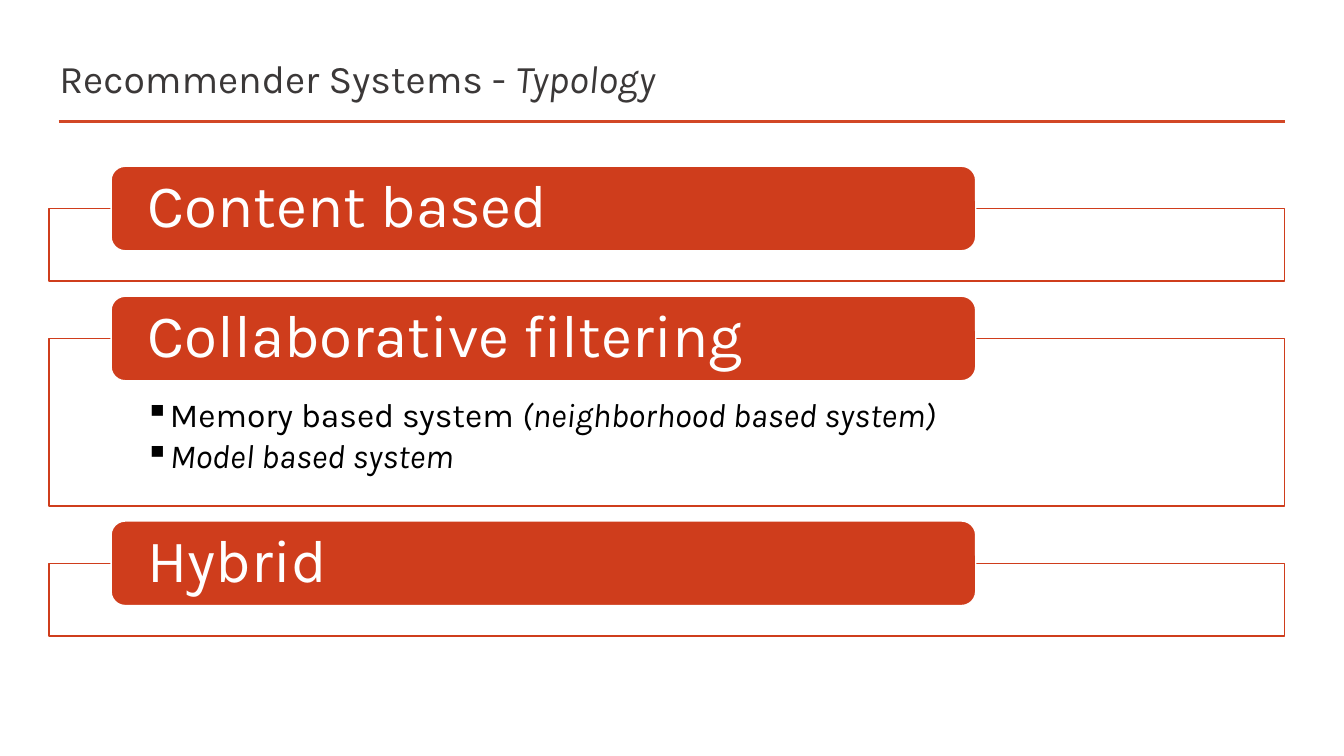
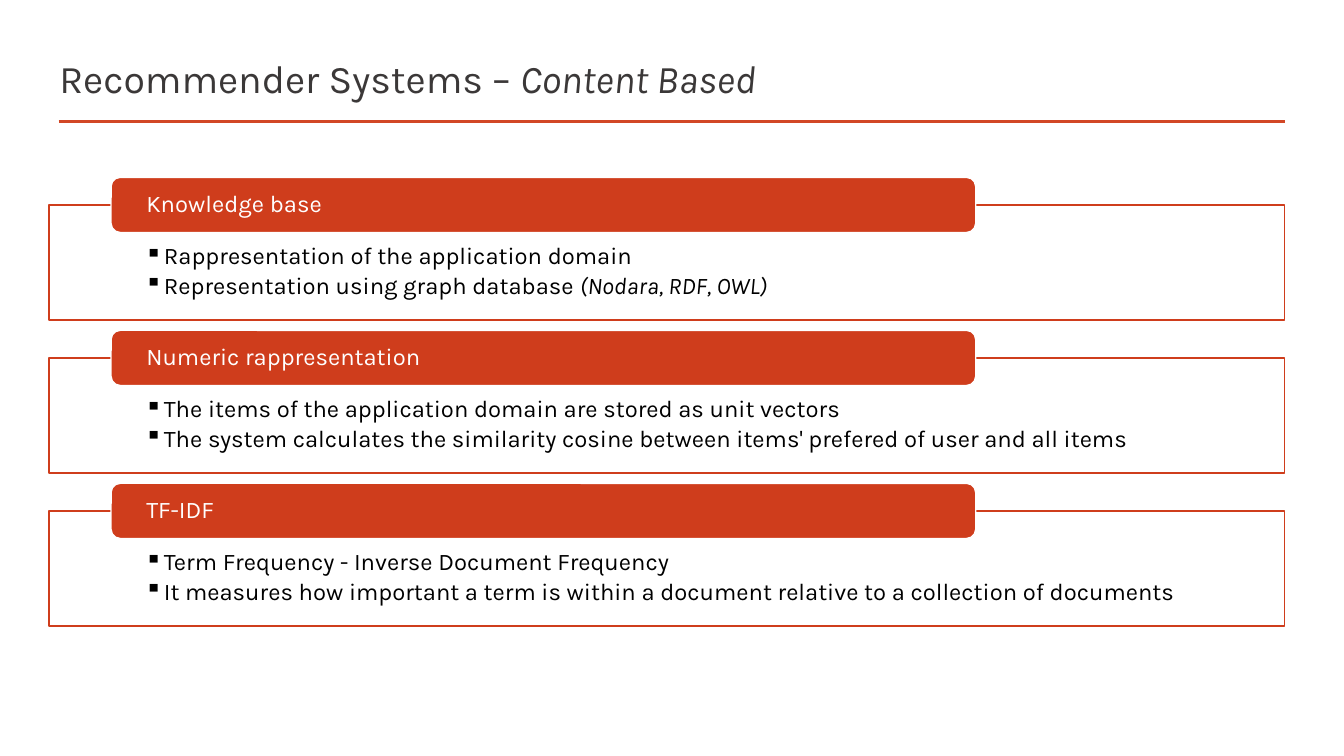
from dataclasses import dataclass

from lxml.etree import SubElement
from pptx import Presentation
from pptx.dml.color import RGBColor
from pptx.enum.shapes import MSO_CONNECTOR, MSO_SHAPE
from pptx.enum.text import MSO_ANCHOR, PP_ALIGN
from pptx.oxml.ns import qn
from pptx.shapes.autoshape import Shape
from pptx.slide import Slide
from pptx.text.text import _Paragraph
from pptx.util import Cm, Pt


@dataclass(frozen=True)
class Theme:
    font: str = "Karla"
    title_color: RGBColor = RGBColor(0x3B, 0x38, 0x38)
    rule_color: RGBColor = RGBColor(0xD2, 0x47, 0x26)
    accent: RGBColor = RGBColor(0xCF, 0x3D, 0x1C)
    paper: RGBColor = RGBColor(0xFF, 0xFF, 0xFF)
    ink: RGBColor = RGBColor(0x00, 0x00, 0x00)
    title_size: float = 28
    line_spacing: float = 0.9
    bullet_gap: float = 0.165


@dataclass(frozen=True)
class Phrase:
    plain: str = ""
    italic: str = ""


@dataclass(frozen=True)
class Section:
    heading: str
    points: tuple[Phrase, ...] = ()


@dataclass(frozen=True)
class ListStyle:
    top: float
    tab_height: float
    frame_height: float
    gap: float
    heading_size: float
    point_size: float
    point_inset: float
    point_indent: float


@dataclass(frozen=True)
class Topic:
    title: Phrase
    style: ListStyle
    sections: tuple[Section, ...]


THEME = Theme()
LEFT, WIDTH = 1.24, 31.14
TAB_LEFT, TAB_WIDTH = 2.8, 21.79
EMPTY_FRAME_HEIGHT = 1.83

LARGE = ListStyle(4.19, 2.13, 4.22, 0.38, 43, 24, 1.5, 0.63)
COMPACT = ListStyle(4.47, 1.39, 2.9, 0.26, 17, 17, 0.99, 0.48)

TOPICS = (
    Topic(
        Phrase("Recommender Systems - ", "Typology"),
        LARGE,
        (
            Section("Content based"),
            Section(
                "Collaborative filtering",
                (
                    Phrase("Memory based system ", "(neighborhood based system)"),
                    Phrase(italic="Model based system"),
                ),
            ),
            Section("Hybrid"),
        ),
    ),
    Topic(
        Phrase("Recommender Systems – ", "Content Based"),
        COMPACT,
        (
            Section(
                "Knowledge base",
                (
                    Phrase("Rappresentation of the application domain"),
                    Phrase("Representation using graph database ", "(Nodara, RDF, OWL)"),
                ),
            ),
            Section(
                "Numeric rappresentation",
                (
                    Phrase("The items of the application domain are stored as unit vectors"),
                    Phrase(
                        "The system calculates the similarity cosine between "
                        "items' prefered of user and all items"
                    ),
                ),
            ),
            Section(
                "TF-IDF",
                (
                    Phrase("Term Frequency - Inverse Document Frequency"),
                    Phrase(
                        "It measures how important a term is within a document "
                        "relative to a collection of documents"
                    ),
                ),
            ),
        ),
    ),
)


def write(paragraph: _Paragraph, phrase: Phrase, size: float, color: RGBColor) -> None:
    paragraph.alignment = PP_ALIGN.LEFT
    paragraph.font.name = THEME.font
    paragraph.font.size = Pt(size)
    paragraph.font.color.rgb = color
    if phrase.plain:
        paragraph.add_run().text = phrase.plain
    if phrase.italic:
        emphasis = paragraph.add_run()
        emphasis.text = phrase.italic
        emphasis.font.italic = True


def add_bullet(paragraph: _Paragraph, indent: float) -> None:
    properties = paragraph._p.get_or_add_pPr()
    properties.set("marL", str(Cm(indent)))
    properties.set("indent", str(-Cm(indent)))
    SubElement(properties, qn("a:buChar")).set("char", "▪")


def add_title(slide: Slide, phrase: Phrase) -> None:
    title = slide.shapes.title
    title.left, title.top = Cm(LEFT), Cm(1.19)
    title.width, title.height = Cm(WIDTH), Cm(1.55)
    title.text_frame.vertical_anchor = MSO_ANCHOR.MIDDLE
    write(title.text_frame.paragraphs[0], phrase, THEME.title_size, THEME.title_color)
    rule = slide.shapes.add_connector(
        MSO_CONNECTOR.STRAIGHT, Cm(1.48), Cm(3.07), Cm(LEFT + WIDTH), Cm(3.07)
    )
    rule.line.color.rgb = THEME.rule_color
    rule.line.width = Pt(2)
    SubElement(rule._element.spPr, qn("a:effectLst"))


def add_panel(
    slide: Slide, preset: MSO_SHAPE, left: float, top: float, width: float, height: float,
    fill: RGBColor, outline: RGBColor,
) -> Shape:
    panel = slide.shapes.add_shape(preset, Cm(left), Cm(top), Cm(width), Cm(height))
    panel.shadow.inherit = False
    panel.fill.solid()
    panel.fill.fore_color.rgb = fill
    panel.line.color.rgb = outline
    panel.line.width = Pt(1)
    return panel


def add_points(frame: Shape, points: tuple[Phrase, ...], style: ListStyle) -> None:
    body = frame.text_frame
    body.word_wrap = True
    body.vertical_anchor = MSO_ANCHOR.TOP
    body.margin_left = body.margin_right = Cm(2.41)
    body.margin_top, body.margin_bottom = Cm(style.point_inset), Cm(style.point_inset / 3)
    for index, point in enumerate(points):
        paragraph = body.add_paragraph() if index else body.paragraphs[0]
        add_bullet(paragraph, style.point_indent)
        paragraph.line_spacing = THEME.line_spacing
        paragraph.space_after = Pt(style.point_size * THEME.bullet_gap)
        write(paragraph, point, style.point_size, THEME.ink)


def add_section(slide: Slide, section: Section, style: ListStyle, top: float) -> float:
    frame_top = top + style.tab_height / 2
    frame_height = style.frame_height if section.points else EMPTY_FRAME_HEIGHT
    frame = add_panel(
        slide, MSO_SHAPE.RECTANGLE, LEFT, frame_top, WIDTH, frame_height,
        THEME.paper, THEME.accent,
    )
    if section.points:
        add_points(frame, section.points, style)
    tab = add_panel(
        slide, MSO_SHAPE.ROUNDED_RECTANGLE, TAB_LEFT, top, TAB_WIDTH, style.tab_height,
        THEME.accent, THEME.paper,
    )
    heading = tab.text_frame
    heading.word_wrap = True
    heading.vertical_anchor = MSO_ANCHOR.MIDDLE
    heading.margin_left = heading.margin_right = Cm(0.82)
    heading.margin_top = heading.margin_bottom = 0
    heading.paragraphs[0].line_spacing = THEME.line_spacing
    write(heading.paragraphs[0], Phrase(section.heading), style.heading_size, THEME.paper)
    return frame_top + frame_height + style.gap


def main() -> None:
    deck = Presentation()
    deck.slide_width, deck.slide_height = Cm(33.87), Cm(19.05)
    for topic in TOPICS:
        slide = deck.slides.add_slide(deck.slide_layouts[5])
        add_title(slide, topic.title)
        top = topic.style.top
        for section in topic.sections:
            top = add_section(slide, section, topic.style, top)
    deck.save("out.pptx")


if __name__ == "__main__":
    main()
